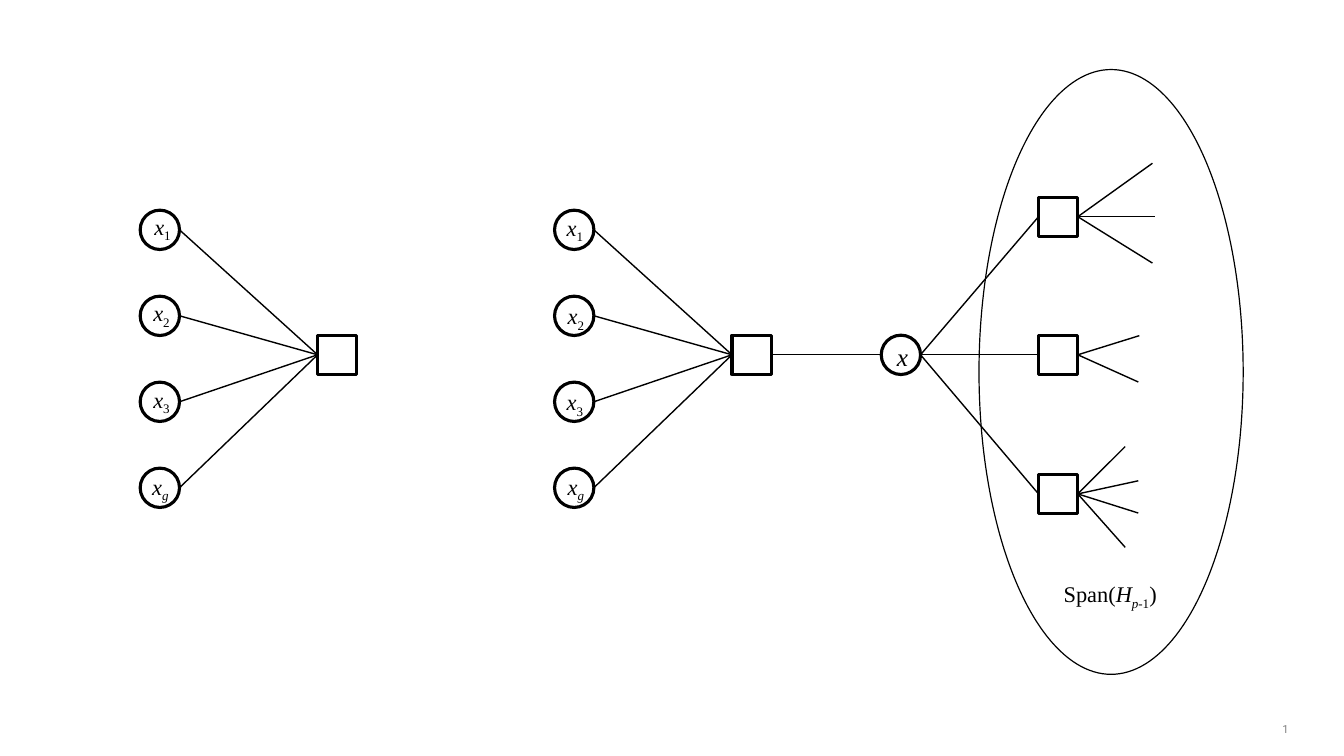
import pptx
import pptx.util
import pptx.dml.color
import pptx.enum.shapes
import pptx.enum.text
import pptx.oxml.ns
import lxml.etree

Inches = pptx.util.Inches
Pt = pptx.util.Pt
MSO_SHAPE = pptx.enum.shapes.MSO_SHAPE
ALIGN = pptx.enum.text.PP_ALIGN
ANCHOR = pptx.enum.text.MSO_ANCHOR
BLACK = pptx.dml.color.RGBColor(0x00, 0x00, 0x00)
GREY = pptx.dml.color.RGBColor(0x80, 0x80, 0x80)

# Content: spans are (text, italic, subscript)
X = ("x", True, False)
SUBSCRIPTS = [("1", False, True), ("2", False, True), ("3", False, True), ("g", True, True)]
SPAN_LABEL = [("Span(", False, False), ("H", True, False), ("p", True, True),
              ("-1", False, True), (")", False, False)]

# Each star: left edge of its circles, then the corner of each label
STARS = [
    (1.39, [(1.38, 2.01), (1.37, 2.87), (1.37, 3.73), (1.36, 4.59)]),
    (5.5, [(5.47, 2.02), (5.48, 2.9), (5.47, 3.75), (5.48, 4.59)]),
]
# Each check node on the right: centre height, then the ends of its branches
CHECKS = [
    (2.15, [(11.43, 1.62), (11.46, 2.15), (11.43, 2.61)]),
    (3.52, [(11.3, 3.33), (11.29, 3.79)]),
    (4.9, [(11.16, 4.43), (11.29, 4.77), (11.29, 5.09), (11.16, 5.43)]),
]
NODE = 0.39
MIDDLE = 3.52
FIRST_CIRCLE, CIRCLE_STEP = 2.28, 0.853
STAR_TO_SQUARE = 1.76
VARIABLE_LEFT, CHECK_LEFT = 8.74, 10.3

deck = pptx.Presentation()
deck.slide_width, deck.slide_height = Inches(13.33), Inches(7.5)
page = deck.slides.add_slide(deck.slide_layouts[6])


def add_outline(kind, left, top, width, height, weight):
    shape = page.shapes.add_shape(kind, Inches(left), Inches(top), Inches(width), Inches(height))
    shape.shadow.inherit = False
    shape.fill.background()
    shape.line.color.rgb = BLACK
    shape.line.width = Pt(weight)
    return shape


def add_node(kind, left, middle):
    return add_outline(kind, left, middle - NODE / 2, NODE, NODE, 2.25)


def add_edge(start, end):
    edge = page.shapes.add_connector(pptx.enum.shapes.MSO_CONNECTOR.STRAIGHT,
                                     *(Inches(value) for value in start + end))
    edge.line.color.rgb = BLACK
    edge.line.width = Pt(1)
    lxml.etree.SubElement(edge._element.spPr, pptx.oxml.ns.qn("a:effectLst"))


def write(box, spans, size=16, font="Times New Roman", color=BLACK, align=ALIGN.LEFT,
          anchor=ANCHOR.TOP, margins=(0.15, 0.1, 0, 0.1), spacing=0.95, before=12):
    frame = box.text_frame
    frame.word_wrap = True
    frame.vertical_anchor = anchor
    (frame.margin_left, frame.margin_top,
     frame.margin_right, frame.margin_bottom) = map(Inches, margins)
    para = frame.paragraphs[0]
    para.alignment = align
    para.line_spacing = spacing
    para.space_before = Pt(before)
    for text, italic, subscript in spans:
        span = para.add_run()
        span.text = text
        span.font.name, span.font.size, span.font.italic = font, Pt(size), italic
        span.font.color.rgb = color
        if subscript:
            span._r.get_or_add_rPr().set("baseline", "-25000")
    return para


def add_text(spans, left, top, width, height, **style):
    box = page.shapes.add_textbox(Inches(left), Inches(top), Inches(width), Inches(height))
    para = write(box, spans, **style)
    box.text_frame.auto_size = pptx.enum.text.MSO_AUTO_SIZE.SHAPE_TO_FIT_TEXT
    return para


# Two stars: four labelled circles joined to one square
for circle_left, label_corners in STARS:
    square_left = circle_left + STAR_TO_SQUARE
    add_node(MSO_SHAPE.RECTANGLE, square_left, MIDDLE)
    for row, (subscript, corner) in enumerate(zip(SUBSCRIPTS, label_corners)):
        middle = FIRST_CIRCLE + row * CIRCLE_STEP
        add_node(MSO_SHAPE.OVAL, circle_left, middle)
        add_edge((circle_left + NODE, middle), (square_left, MIDDLE))
        add_text([X, subscript], *corner, 0.52, 0.46)

# Variable x, joined to the square of the second star
variable = add_node(MSO_SHAPE.OVAL, VARIABLE_LEFT, MIDDLE)
write(variable, [X], size=18, align=ALIGN.CENTER, anchor=ANCHOR.MIDDLE,
      margins=(0.03, 0.03, 0, 0), spacing=1.0, before=0)
add_edge((square_left + NODE, MIDDLE), (VARIABLE_LEFT, MIDDLE))

# Check nodes with their branches
for middle, branch_ends in CHECKS:
    add_node(MSO_SHAPE.RECTANGLE, CHECK_LEFT, middle)
    add_edge((VARIABLE_LEFT + NODE, MIDDLE), (CHECK_LEFT, middle))
    for branch_end in branch_ends:
        add_edge((CHECK_LEFT + NODE, middle), branch_end)

# Span outline and its label
add_outline(MSO_SHAPE.OVAL, 9.71, 0.69, 2.62, 6, 0.85)
add_text(SPAN_LABEL, 10.4, 5.66, 1.24, 0.46)

# Slide number, turned into a field
number = add_text([("1", False, False)], 12, 7.14, 0.78, 0.15, size=8, font="Roboto",
                  color=GREY, align=ALIGN.RIGHT, anchor=ANCHOR.MIDDLE,
                  margins=(0, 0, 0, 0), spacing=1.25, before=0)
field = number.runs[0]._r
field.tag = pptx.oxml.ns.qn("a:fld")
field.set("id", "{B6F15528-21DE-4FAA-801E-634DDDAF4B2B}")
field.set("type", "slidenum")

deck.save("out.pptx")
